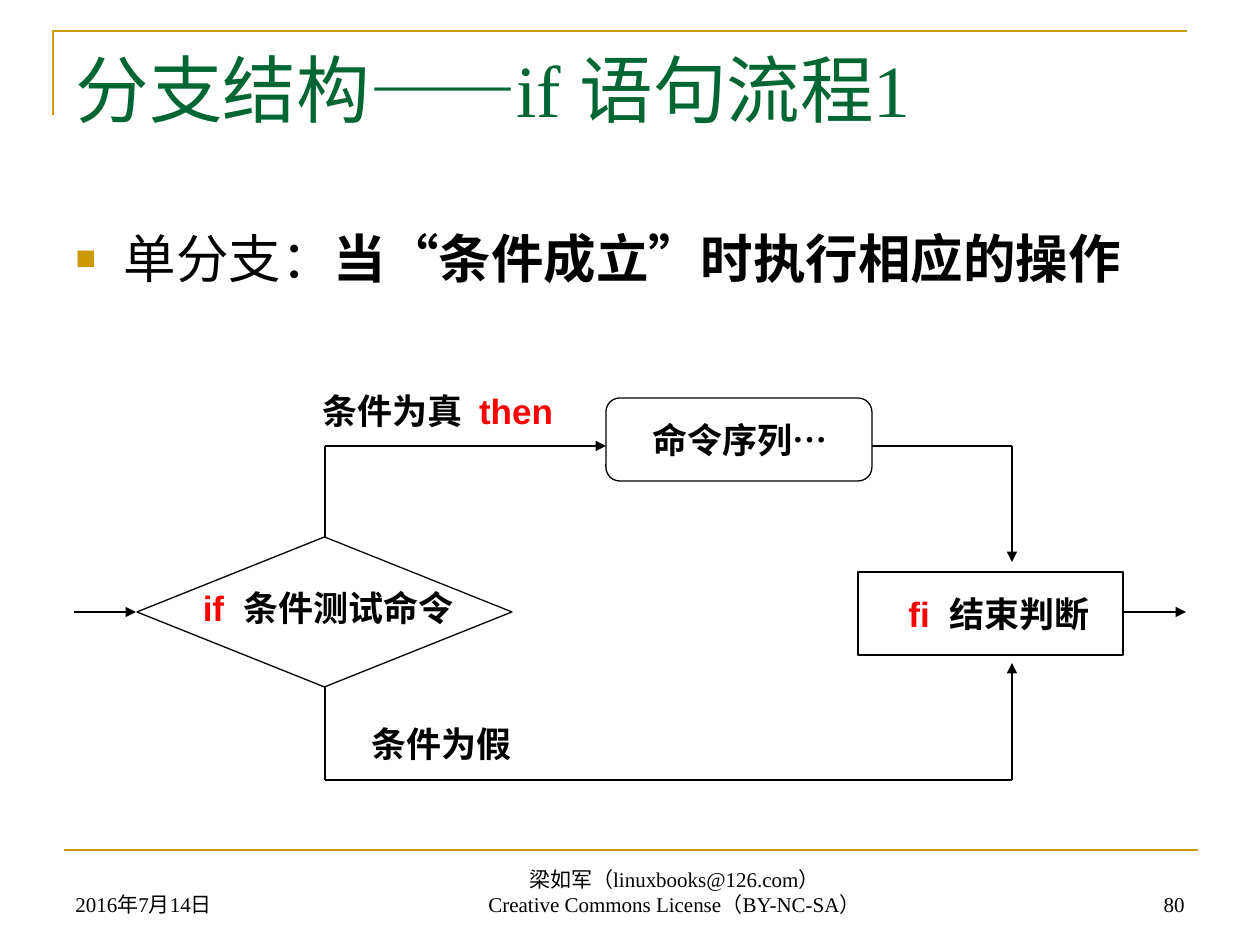
from dataclasses import dataclass
from lxml import etree
from pptx import Presentation
from pptx.dml.color import RGBColor
from pptx.enum.shapes import MSO_CONNECTOR, MSO_SHAPE
from pptx.enum.text import MSO_ANCHOR, MSO_AUTO_SIZE, PP_ALIGN
from pptx.oxml.ns import qn
from pptx.util import Pt

PX = 914400 / 126
LINE = MSO_CONNECTOR.STRAIGHT
STEP = MSO_SHAPE.FLOWCHART_PROCESS
TEST = MSO_SHAPE.FLOWCHART_DECISION
TASK = MSO_SHAPE.FLOWCHART_ALTERNATE_PROCESS
LEFT, MID, RIGHT = PP_ALIGN.LEFT, PP_ALIGN.CENTER, PP_ALIGN.RIGHT
TOP, BASE = MSO_ANCHOR.TOP, MSO_ANCHOR.BOTTOM
FIXED = MSO_AUTO_SIZE.NONE


@dataclass(frozen=True)
class Theme:
    ink: str = "000000"
    paper: str = "FFFFFF"
    gold: str = "CC9900"
    green: str = "006633"
    red: str = "FF0000"
    serif: str = "Times New Roman"
    sans: str = "Arial"
    han: str = "Noto Sans CJK SC"
    title: int = 42
    body: int = 30
    label: int = 20
    small: int = 12
    rule: float = 1.5
    thin: float = 0.75


THEME = Theme()


def px(num):
    return round(num * PX)


def rgb(tone):
    return RGBColor.from_string(tone)


def place(shape, box):
    shape.left, shape.top, shape.width, shape.height = map(px, box)


def style(run, size, face, tone, bold=False):
    font = run.font
    font.size, font.name, font.bold = Pt(size), face, bold
    font.color.rgb = rgb(tone)
    etree.SubElement(run._r.get_or_add_rPr(), qn("a:ea"), typeface=THEME.han)


def set_up(frame, anchor):
    frame.word_wrap = True
    frame.auto_size = FIXED
    frame.vertical_anchor = anchor


def add_text(slide, box, anchor=TOP):
    frame = slide.shapes.add_textbox(*map(px, box)).text_frame
    set_up(frame, anchor)
    return frame


def add_line(slide, ends, tone, width, arrow=False):
    line = slide.shapes.add_connector(LINE, *map(px, ends))
    line.line.color.rgb = rgb(tone)
    line.line.width = Pt(width)
    if arrow:
        etree.SubElement(line.line._get_or_add_ln(), qn("a:tailEnd"), type="triangle")
    etree.SubElement(line._element.spPr, qn("a:effectLst"))


def draw_frame(slide, box):
    x, y, w, h = box
    pen = slide.shapes.build_freeform(x, y + 84, scale=PX)
    pen.add_line_segments([(x, y), (x + w, y)], close=False)
    edge = pen.convert_to_shape()
    edge.shadow.inherit = False
    edge.fill.background()
    edge.line.color.rgb = rgb(THEME.gold)
    edge.line.width = Pt(THEME.rule)
    base = y + h
    add_line(slide, (x + 11, base, x + w + 11, base), THEME.gold, THEME.rule)


def draw_title(slide, box):
    title = slide.shapes.title
    place(title, box)
    frame = title.text_frame
    frame.text = "分支结构——if 语句流程1"
    set_up(frame, TOP)
    part = frame.paragraphs[0]
    part.alignment = LEFT
    style(part.runs[0], THEME.title, THEME.serif, THEME.green)


def draw_body(slide, box):
    body = slide.placeholders[1]
    place(body, box)
    frame = body.text_frame
    set_up(frame, TOP)
    part = frame.paragraphs[0]
    part.space_before = Pt(0)
    props = part._p.get_or_add_pPr()
    props.set("marL", str(px(48)))
    props.set("indent", str(px(-48)))
    tint = etree.SubElement(props, qn("a:buClr"))
    etree.SubElement(tint, qn("a:srgbClr"), val=THEME.gold)
    etree.SubElement(props, qn("a:buSzPct"), val="65000")
    etree.SubElement(props, qn("a:buFont"), typeface=THEME.sans)
    etree.SubElement(props, qn("a:buChar"), char="■")
    for text, face, bold in (
        ("单分支：", THEME.sans, False),
        ("当“条件成立”时执行相应的操作", THEME.han, True),
    ):
        run = part.add_run()
        run.text = text
        style(run, THEME.body, face, THEME.ink, bold)


def draw_foot(slide, box):
    x, y, w, h = box
    author = "梁如军（linuxbooks@126.com）\nCreative Commons License（BY-NC-SA）"
    for left, wide, text, align in (
        (0, 294, "2016年7月14日", LEFT),
        (239, 745, author, MID),
        (w - 294, 294, "80", RIGHT),
    ):
        frame = add_text(slide, (x + left, y, wide, h), BASE)
        frame.text = text
        for part in frame.paragraphs:
            part.alignment = align
            style(part.runs[0], THEME.small, THEME.serif, THEME.ink)


def draw_flow(slide, box):
    x, y, w, h = box
    fork, join, high, mid, low = 251, 938, 63, 229, h

    def link(a, b, c, d, arrow=False):
        add_line(slide, (x + a, y + b, x + c, y + d), THEME.ink, THEME.thin, arrow)

    link(fork, high, fork, low)
    for kind, left, top, wide, tall in (
        (STEP, 784, 189, 265, 83),
        (TEST, 63, 154, 375, 150),
        (TASK, 532, 15, 266, 83),
    ):
        node = slide.shapes.add_shape(kind, *map(px, (x + left, y + top, wide, tall)))
        node.shadow.inherit = False
        node.fill.solid()
        node.fill.fore_color.rgb = rgb(THEME.paper)
        node.line.color.rgb = rgb(THEME.ink)
        node.line.width = Pt(THEME.thin)

    for ends in (
        (fork, high, 532, high, True),
        (798, high, join, high),
        (join, high, join, 179, True),
        (join, low, join, 280, True),
        (fork, low, join, low),
        (0, mid, 62, mid, True),
        (1050, mid, w, mid, True),
    ):
        link(*ends)

    ink, red = THEME.ink, THEME.red
    for left, top, wide, runs in (
        (92, 197, 325, (("if  ", red), ("条件测试命令", ink))),
        (537, 29, 258, (("命令序列…", ink),)),
        (814, 203, 222, (("fi  ", red), ("结束判断", ink))),
        (231, 0, 266, (("条件为真  ", ink), ("then", red))),
        (235, 333, 266, (("条件为假", ink),)),
    ):
        part = add_text(slide, (x + left, y + top, wide, 55)).paragraphs[0]
        part.alignment = MID
        for text, tone in runs:
            run = part.add_run()
            run.text = text
            style(run, THEME.label, THEME.sans, tone, True)


def main():
    deck = Presentation()
    deck.slide_width, deck.slide_height = px(1260), px(945)
    slide = deck.slides.add_slide(deck.slide_layouts[1])
    draw_frame(slide, (53, 31, 1134, 819))
    draw_title(slide, (63, 38, 1134, 157))
    draw_body(slide, (63, 220, 1134, 624))
    draw_foot(slide, (63, 860, 1134, 63))
    draw_flow(slide, (74, 383, 1112, 397))
    deck.save("out.pptx")


if __name__ == "__main__":
    main()
